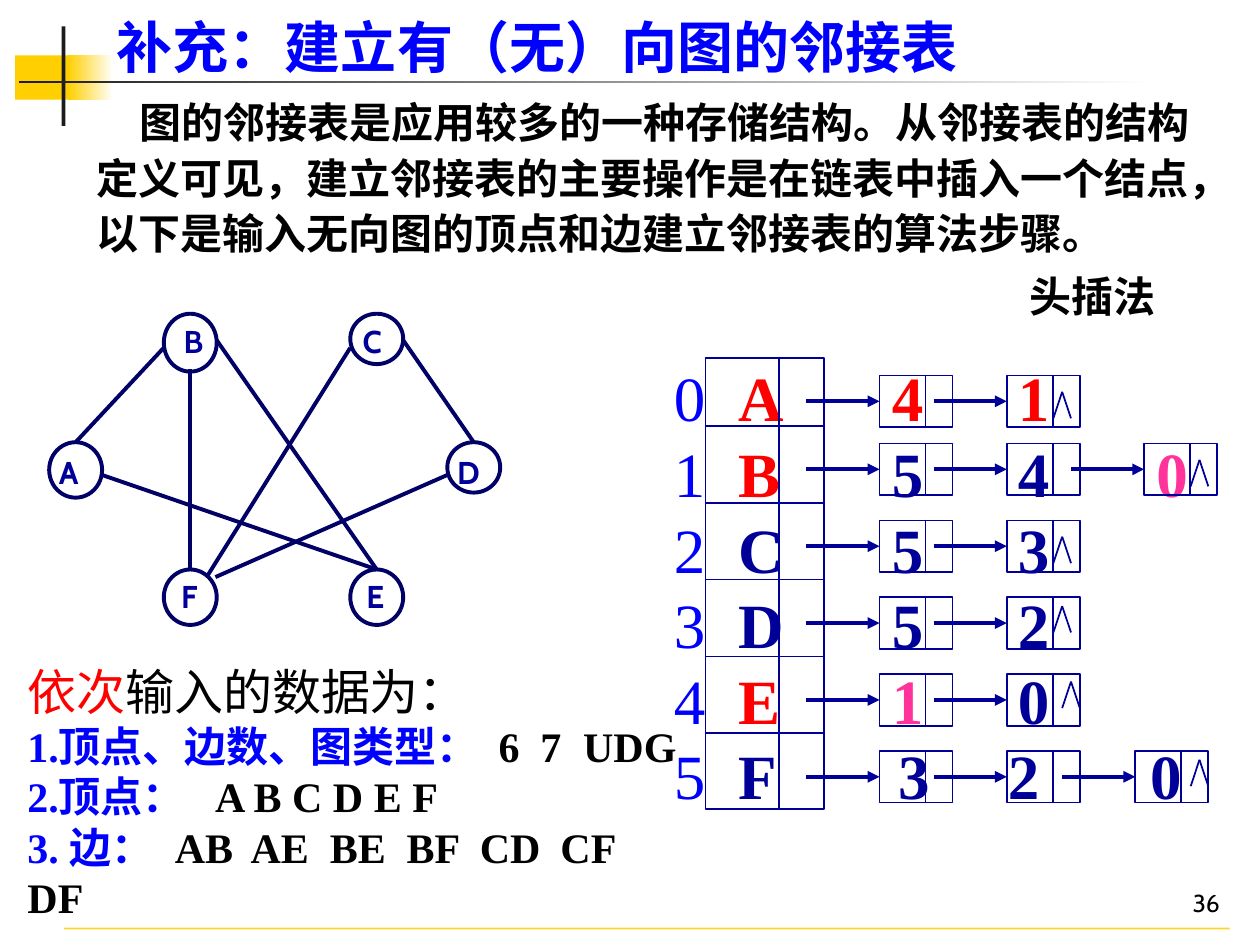
import dataclasses

import pptx
import pptx.dml.color
import pptx.enum.shapes
import pptx.enum.text
import pptx.oxml
import pptx.oxml.ns
import pptx.util

SHAPE = pptx.enum.shapes.MSO_SHAPE
ANCHOR = pptx.enum.text.MSO_ANCHOR
ALIGN = pptx.enum.text.PP_ALIGN
COLUMNS = 100


@dataclasses.dataclass(frozen=True)
class Theme:
    black: str = "000000"
    white: str = "FFFFFF"
    blue: str = "0000FF"
    red: str = "FF0000"
    pink: str = "FF3399"
    navy: str = "000099"
    graph: str = "000066"
    ink: str = "1C1C1C"
    gold: str = "FFCF01"
    rule: str = "FFCC00"
    sans: str = "Cabin"
    serif: str = "Times New Roman"
    chinese: str = "Noto Sans CJK SC"
    title: int = 32
    lead: int = 28
    body: int = 24
    label: int = 18
    number: int = 14
    cell: int = 36
    thin: float = 1
    thick: float = 2.25


THEME = Theme()


def rgb(code):
    return pptx.dml.color.RGBColor.from_string(code)


def add_element(parent, tag, **attributes):
    element = pptx.oxml.parse_xml(f"<a:{tag} {pptx.oxml.ns.nsdecls('a')}/>")
    for name, value in attributes.items():
        element.set(name, str(value))
    parent.append(element)
    return element


def add_span(para, text, size=THEME.body, color=THEME.black, font=THEME.sans, bold=False):
    span = para.add_run()
    span.text = text
    span.font.size = pptx.util.Pt(size)
    span.font.bold = bold
    span.font.name = font
    span.font.color.rgb = rgb(color)
    add_element(span.font._element, "ea", typeface=THEME.sans)


class Painter:
    def __init__(self, deck, theme):
        self.theme = theme
        self.unit = deck.slide_width / COLUMNS
        self.page = deck.slides.add_slide(deck.slide_layouts[6])

    def grid(self, *values):
        return [round(value * self.unit) for value in values]

    def shape(self, kind, area, fill=None, fade=False, line=None, width=THEME.thin):
        shape = self.page.shapes.add_shape(kind, *self.grid(*area))
        shape.shadow.inherit = False
        if fade:
            shape.fill.gradient()
            shape.fill.gradient_angle = 0
            for stop, color in zip(shape.fill.gradient_stops, (fill, self.theme.white)):
                stop.color.rgb = rgb(color)
        elif fill:
            shape.fill.solid()
            shape.fill.fore_color.rgb = rgb(fill)
        else:
            shape.fill.background()
        if line:
            shape.line.color.rgb = rgb(line)
            shape.line.width = pptx.util.Pt(width)
        else:
            shape.line.fill.background()
        return shape

    def line(self, start, end, color=THEME.navy, width=THEME.thin, target=None, alpha=None):
        straight = pptx.enum.shapes.MSO_CONNECTOR.STRAIGHT
        line = self.page.shapes.add_connector(straight, *self.grid(*start, *end))
        line.line.color.rgb = rgb(color)
        line.line.width = pptx.util.Pt(width)
        properties = line._element.spPr
        if alpha:
            add_element(properties.xpath(".//a:srgbClr")[0], "alpha", val=alpha * 1000)
        if target is not None:
            line.end_connect(target, 1)
            add_element(properties.xpath("a:ln")[0], "tailEnd", type="triangle")
        add_element(properties, "effectLst")

    def text(self, area, anchor=ANCHOR.TOP, wrap=True):
        box = self.page.shapes.add_textbox(*self.grid(*area))
        box.text_frame.word_wrap = wrap
        box.text_frame.vertical_anchor = anchor
        return box.text_frame

    def label(self, area, text, anchor=ANCHOR.TOP, align=ALIGN.LEFT, **style):
        para = self.text(area, anchor).paragraphs[0]
        para.alignment = align
        add_span(para, text, **style)
        return para

    def lines(self, frame, rows, spacing=None):
        for index, (tabs, spans) in enumerate(rows):
            para = frame.add_paragraph() if index else frame.paragraphs[0]
            if tabs:
                stops = add_element(para._p.get_or_add_pPr(), "tabLst")
                for tab in self.grid(*tabs):
                    add_element(stops, "tab", pos=tab, algn="l")
            if spacing:
                para.line_spacing = pptx.util.Pt(spacing)
            for text, style in spans:
                add_span(para, text, **style)

    def node(self, x, y):
        node = self.shape(SHAPE.RECTANGLE, (x, y, 5.8, 4.1), line=self.theme.navy)
        self.line((x + 3.65, y), (x + 3.65, y + 4.1))
        middle = y + 2.05
        self.line((x - 5.8, middle), (x, middle), width=self.theme.thick, target=node)

    def caret(self, x, y):
        for side in (-0.7, 0.7):
            self.line((x, y), (x + side, y + 2.1))


def draw_frame(painter):
    theme = painter.theme
    for area, color, fade in (
        ((1.2, 4.4, 4.8, 3.5), theme.gold, False),
        ((5.4, 4.4, 3.6, 3.5), theme.gold, True),
        ((4.9, 2.1, 0.3, 7.9), theme.ink, False),
        ((1.5, 6.4, 90, 0.2), theme.ink, True),
    ):
        painter.shape(SHAPE.RECTANGLE, area, fill=color, fade=fade)
    painter.line((5.1, 73.7), (97.6, 73.7), color=theme.rule, alpha=83)
    painter.label((77, 68.3, 20.8, 5), "36", ANCHOR.BOTTOM, ALIGN.RIGHT, size=theme.number)
    painter.label((8.3, 1.3, 76.4, 5.5), "补充：建立有（无）向图的邻接表", ANCHOR.BOTTOM,
                  size=theme.title, color=theme.blue, bold=True)
    body = painter.label(
        (6.7, 6.8, 90.6, 20.5),
        "图的邻接表是应用较多的一种存储结构。从邻接表的结构定义可见，建立邻接表的主要操作"
        "是在链表中插入一个结点，以下是输入无向图的顶点和边建立邻接表的算法步骤。",
        font=theme.chinese, bold=True)
    body._p.get_or_add_pPr().set("indent", str(painter.grid(3.4)[0]))
    body.line_spacing = 1.1
    painter.label((80.7, 21, 16.5, 5), "头插法", bold=True)


def draw_graph(painter):
    theme = painter.theme
    vertices = {
        "B": (13, 24.9, 4.6, 13.6, 25.1), "C": (27.8, 24.9, 4, 27.8, 25.1),
        "A": (3.9, 35.1, 4.4, 3.7, 35.5), "F": (13, 45.2, 4.4, 13.4, 45.3),
        "E": (27.8, 45.2, 4.4, 28.1, 45.3), "D": (35.5, 35.1, 4, 35.3, 35.5),
    }
    edges = (
        ((13, 27.6), (6, 35.1)), ((17.2, 27), (29.9, 45.2)), ((8.1, 37.7), (29.9, 45.2)),
        ((27.8, 27.6), (16.4, 45.8)), ((32, 27), (37.6, 35.1)),
        ((35.5, 37.7), (17.1, 45.8)), ((15.1, 29.3), (15.1, 45.2)),
    )
    for x, y, height, _, _ in vertices.values():
        painter.shape(SHAPE.OVAL, (x, y, 4.2, height), line=theme.graph, width=theme.thick)
    for start, end in edges:
        painter.line(start, end, color=theme.graph, width=theme.thick)
    for name, (_, _, _, x, y) in vertices.items():
        painter.label((x, y, 4.7, 4), name, size=theme.label, color=theme.navy, bold=True)


def draw_adjacency_list(painter):
    theme = painter.theme
    red, navy, pink = theme.red, theme.navy, theme.pink
    tabs, last_tabs = (5.1, 17.3, 27.3, 38.3), (5.1, 17.8, 26.5, 37.8)
    nodes, caret = (69.8, 79.9), (4.4, 1.3)
    rows = (
        (tabs, (("A\t4\t1", red),), nodes, caret),
        (tabs, (("B", red), ("\t5\t4\t", navy), ("0", pink)), nodes + (90.8,), caret),
        (tabs, (("C\t5\t3", navy),), nodes, caret),
        (tabs, (("D\t5\t2", navy),), nodes, (4.4, 0.7)),
        (tabs, (("E\t", red), ("1", pink), ("\t0", navy)), nodes, (5.1, 0.6)),
        (last_tabs, (("F\t3\t2\t0", navy),), nodes + (90.1,), (5.1, 0.7)),
    )
    style = dict(size=theme.cell, font=theme.serif)
    lines = []
    for index, (stops, spans, _, _) in enumerate(rows):
        number = (f"{index}\t", dict(style, color=theme.blue))
        values = [(text, dict(style, color=color, bold=True)) for text, color in spans]
        lines.append((stops, [number] + values))
    painter.lines(painter.text((52.5, 28, 47.1, 37)), lines, spacing=43.2)

    painter.shape(SHAPE.RECTANGLE, (56, 28.4, 9.4, 35.8), line=navy)
    for index in range(len(rows) - 1):
        y = 33.8 + 6.1 * index
        painter.line((56, y), (65.5, y))
    painter.line((61.8, 28.4), (61.8, 64.3))
    for index, (_, _, columns, (across, down)) in enumerate(rows):
        y = 29.1 + 6.1 * index if index else 29.8
        for x in columns:
            painter.node(x, y)
        painter.caret(columns[-1] + across, y + down)


def draw_input(painter):
    theme = painter.theme
    lead = dict(size=theme.lead, font=theme.chinese)
    value = dict(font=theme.serif, bold=True)
    name = dict(value, color=theme.blue)
    painter.lines(painter.text((1.2, 52, 53.7, 21.6), wrap=False), (
        ((), (("依次", dict(lead, color=theme.red)), ("输入的数据为：", lead))),
        ((37.4, 40.7, 44.1), (("1.顶点、边数、图类型：", name), ("\t6\t7\tUDG", value))),
        ((14.9,), (("2.顶点：", name), ("\tA B C D E F", value))),
        ((11.7, 17.7, 24, 30.1, 35.9, 42.3),
         (("3. 边：", name), ("\tAB\tAE\tBE\tBF\tCD\tCF", value))),
        ((), (("DF", value),)),
    ))


def main():
    deck = pptx.Presentation()
    deck.slide_width = pptx.util.Inches(10)
    deck.slide_height = pptx.util.Inches(7.5)
    painter = Painter(deck, THEME)
    draw_frame(painter)
    draw_graph(painter)
    draw_adjacency_list(painter)
    draw_input(painter)
    deck.save("out.pptx")


if __name__ == "__main__":
    main()
